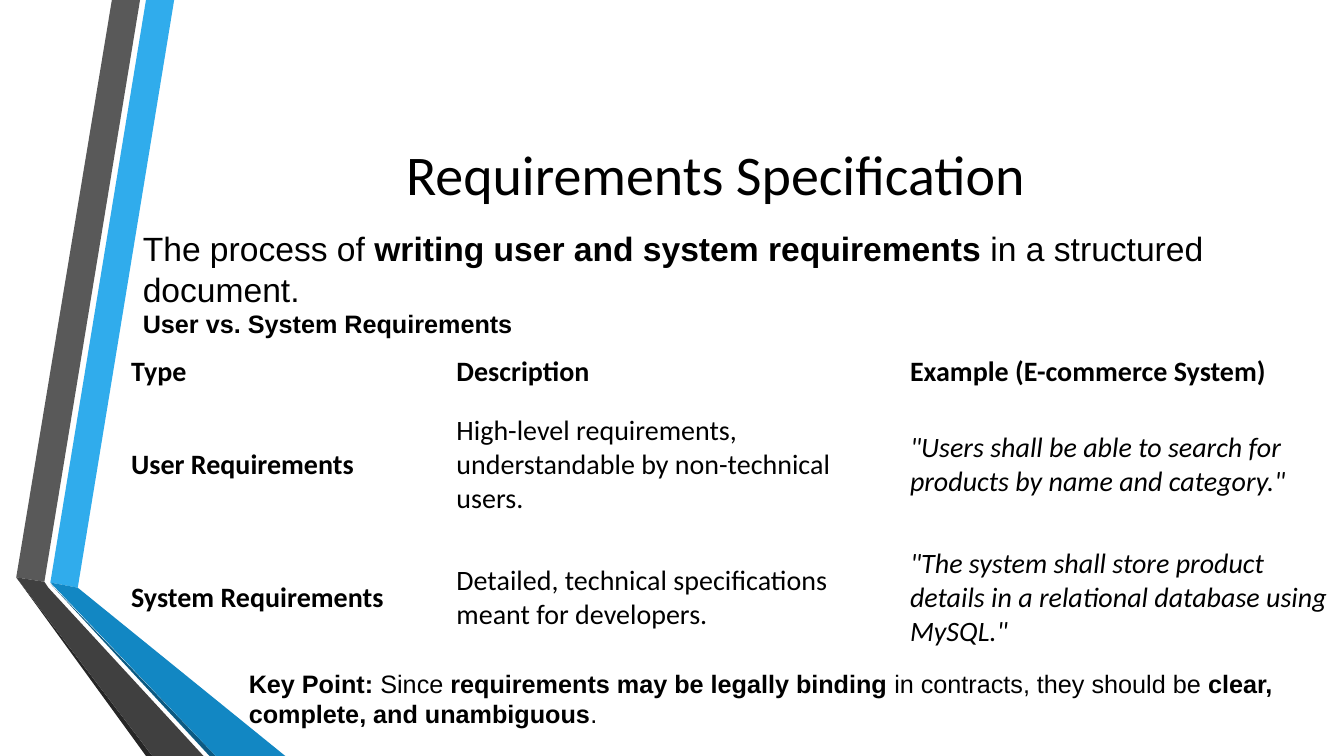
from pptx import Presentation
from pptx.dml.color import RGBColor
from pptx.enum import text as t
from pptx.util import Cm, Pt

BLACK = RGBColor(0x00, 0x00, 0x00)
BLUE = RGBColor(0x30, 0xAC, 0xEC)
BLUE_FOLD = RGBColor(0x12, 0x87, 0xC3)
BLUE_EDGE = RGBColor(0x0C, 0x5A, 0x82)
GREY = RGBColor(0x59, 0x59, 0x59)
GREY_FOLD = RGBColor(0x40, 0x40, 0x40)
GREY_EDGE = RGBColor(0x26, 0x26, 0x26)
NO_TABLE_STYLE = "{2D5ABB26-0587-4C30-8999-92F81FD0307C}"

RIBBONS = [
    (BLUE, [(0.86, 14.68), (1.55, 14.81), (3.98, 0), (3.27, 0)]),
    (GREY, [(3.12, 0), (2.41, 0), (0, 14.55), (0.71, 14.66)]),
    (GREY_EDGE, [(0, 14.55), (3.27, 19.05), (3.43, 19.05)]),
    (BLUE_EDGE, [(0.86, 14.71), (4.87, 19.05), (5.03, 19.05)]),
    (BLUE_FOLD, [(0.86, 14.68), (5.03, 19.05), (6.78, 19.05), (1.55, 14.81)]),
    (GREY_FOLD, [(0, 14.55), (3.43, 19.05), (4.72, 19.05), (0.81, 14.81), (0.71, 14.66)]),
]
REQUIREMENTS = [
    ("Type", "Description", "Example (E-commerce System)"),
    ("User Requirements",
     "High-level requirements, understandable by non-technical users.",
     '"Users shall be able to search for products by name and category."'),
    ("System Requirements",
     "Detailed, technical specifications meant for developers.",
     '"The system shall store product details in a relational database using MySQL."'),
]
INTRO = [
    (24, [("The process of ", False), ("writing user and system requirements", True),
          (" in a structured document.", False)]),
    (18, [("User vs. System Requirements", True)]),
]
KEY_POINT = [
    (18, [("Key Point:", True), (" Since ", False),
          ("requirements may be legally binding", True),
          (" in contracts, they should be ", False),
          ("clear, complete, and unambiguous", True), (".", False)]),
]


def style(run, size, face, bold=False, italic=False):
    run.font.size = Pt(size)
    run.font.name = face
    run.font.bold = bold
    run.font.italic = italic
    run.font.color.rgb = BLACK


def add_ribbons(slide, left, top):
    for colour, corners in RIBBONS:
        points = [(Cm(left + x), Cm(top + y)) for x, y in corners]
        outline = slide.shapes.build_freeform(*points[0])
        outline.add_line_segments(points[1:])
        ribbon = outline.convert_to_shape()
        ribbon.shadow.inherit = False
        ribbon.fill.solid()
        ribbon.fill.fore_color.rgb = colour
        ribbon.line.fill.background()


def add_text(slide, box, paragraphs, face, anchor, align=t.PP_ALIGN.LEFT):
    frame = slide.shapes.add_textbox(*map(Cm, box)).text_frame
    frame.word_wrap = True
    frame.vertical_anchor = anchor
    for index, (size, pieces) in enumerate(paragraphs):
        paragraph = frame.add_paragraph() if index else frame.paragraphs[0]
        paragraph.alignment = align
        for wording, bold in pieces:
            run = paragraph.add_run()
            run.text = wording
            style(run, size, face, bold)


def add_requirements(slide, box, widths, heights):
    frame = slide.shapes.add_table(len(heights), len(widths), *map(Cm, box))
    frame._element.xpath(".//a:tableStyleId")[0].text = NO_TABLE_STYLE
    table = frame.table
    table.first_row = table.horz_banding = False
    for column, width in zip(table.columns, widths):
        column.width = Cm(width)
    for row, height in zip(table.rows, heights):
        row.height = Cm(height)
    for r, entries in enumerate(REQUIREMENTS):
        for c, entry in enumerate(entries):
            cell = table.cell(r, c)
            cell.fill.background()
            cell.vertical_anchor = t.MSO_ANCHOR.MIDDLE
            cell.text_frame.text = entry
            style(cell.text_frame.paragraphs[0].runs[0], 20, "Calibri",
                  bold=r == 0 or c == 0, italic=r > 0 and c == 2)


def main():
    deck = Presentation()
    deck.slide_width, deck.slide_height = Cm(33.87), Cm(19.05)
    slide = deck.slides.add_slide(deck.slide_layouts[6])
    add_ribbons(slide, 0.41, 0)
    add_text(slide, (4.11, 1.91, 27.84, 4.88),
             [(40, [("Requirements Specification", False)])],
             "Calibri", t.MSO_ANCHOR.MIDDLE, t.PP_ALIGN.CENTER)
    add_requirements(slide, (3.05, 8.69, 30.81, 8.05),
                     (8.2, 11.43, 11.18), (1.35, 3.35, 3.35))
    add_text(slide, (3.35, 5.61, 30.53, 3.07), INTRO, "Arial", t.MSO_ANCHOR.MIDDLE)
    add_text(slide, (6.02, 16.71, 26.67, 1.8), KEY_POINT, "Arial", t.MSO_ANCHOR.TOP)
    deck.save("out.pptx")


if __name__ == "__main__":
    main()
